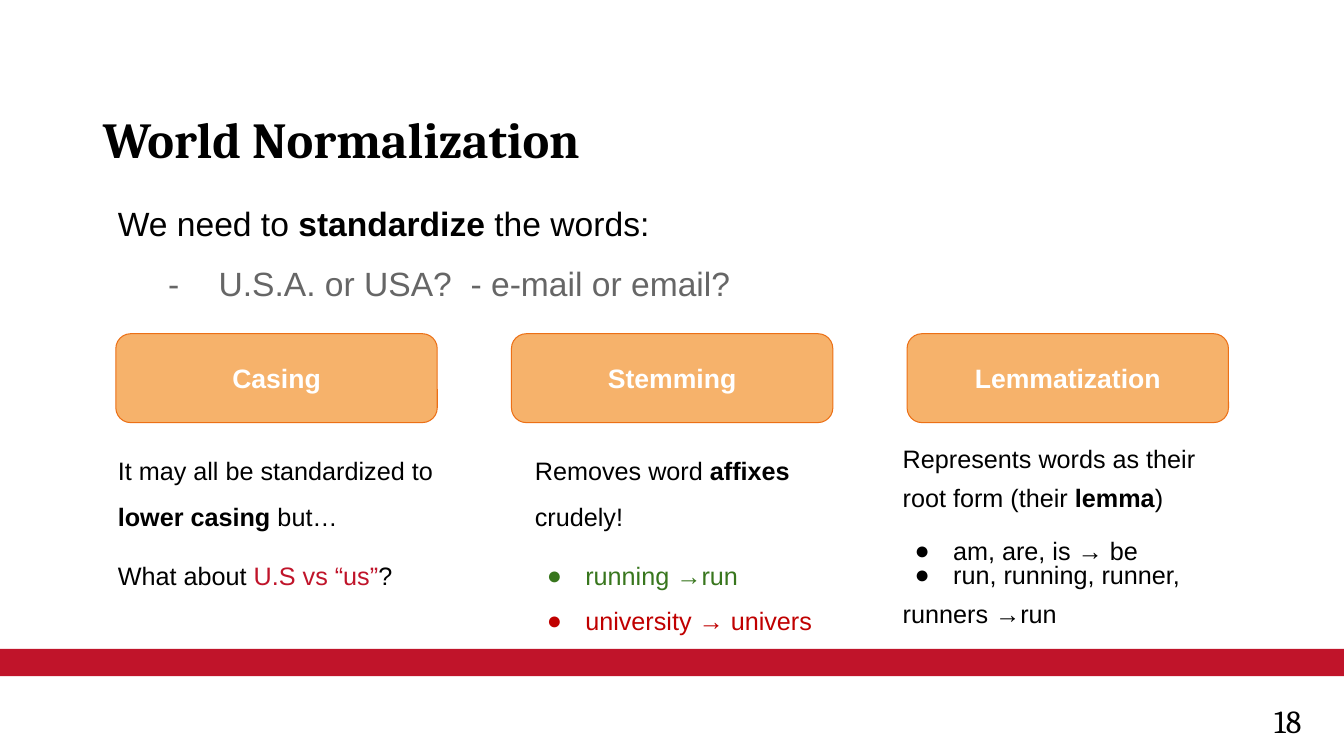
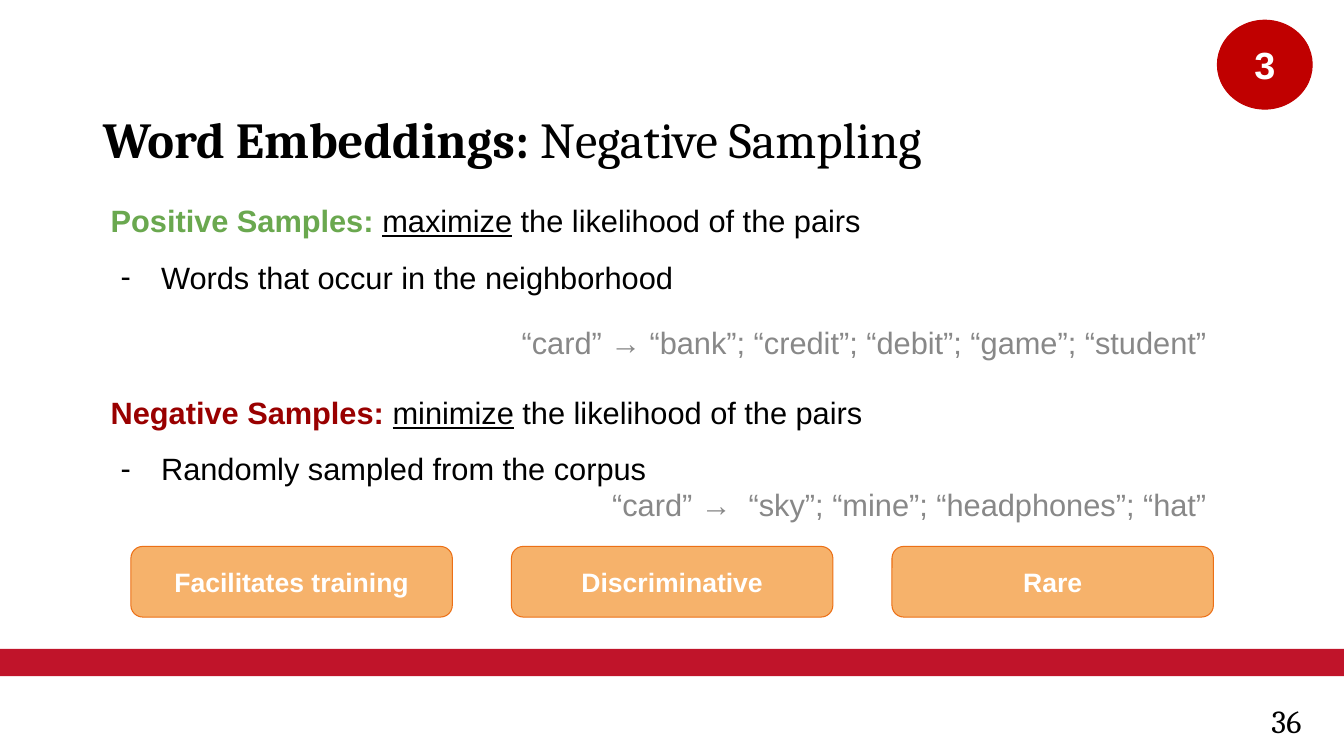
from dataclasses import dataclass

from lxml import etree
from pptx import Presentation
from pptx.dml.color import RGBColor
from pptx.enum.shapes import MSO_SHAPE
from pptx.enum.text import MSO_ANCHOR, MSO_AUTO_SIZE, PP_ALIGN
from pptx.oxml.ns import qn
from pptx.util import Cm, Pt

RECT, ROUNDED, OVAL = MSO_SHAPE.RECTANGLE, MSO_SHAPE.ROUNDED_RECTANGLE, MSO_SHAPE.OVAL
TOP, MIDDLE = MSO_ANCHOR.TOP, MSO_ANCHOR.MIDDLE
LEFT, CENTER, RIGHT = PP_ALIGN.LEFT, PP_ALIGN.CENTER, PP_ALIGN.RIGHT
NO_FIT = MSO_AUTO_SIZE.NONE

BLACK = RGBColor(0x00, 0x00, 0x00)
WHITE = RGBColor(0xFF, 0xFF, 0xFF)
CRIMSON = RGBColor(0xC0, 0x14, 0x2A)
RED = RGBColor(0xC0, 0x00, 0x00)
DARK_RED = RGBColor(0x99, 0x00, 0x00)
GREEN = RGBColor(0x6A, 0xA8, 0x4F)
DARK_GREEN = RGBColor(0x38, 0x76, 0x1D)
DARK_GRAY = RGBColor(0x66, 0x66, 0x66)
GRAY = RGBColor(0x88, 0x88, 0x88)
ORANGE = RGBColor(0xF6, 0xB2, 0x6B)
ORANGE_LINE = RGBColor(0xEC, 0x70, 0x16)

HEAD_FONT, BODY_FONT = "Cambria", "Arial"
SLIDE_W, SLIDE_H = 33.87, 19.05
COMPARISON, TWO_CONTENT = 4, 3


@dataclass
class Run:
    text: str
    color: RGBColor = BLACK
    bold: bool = False
    underline: bool = False


@dataclass
class Para:
    runs: list
    spacing: float = 1.0
    before: float = 0
    align: PP_ALIGN = LEFT
    margin: float = 0
    indent: float = 0
    bullet: str = ""
    tabs: tuple = ()


def set_list_format(p, para):
    pPr = p._p.get_or_add_pPr()
    pPr.set("marL", str(Cm(para.margin)))
    pPr.set("indent", str(Cm(para.indent)))
    if para.bullet:
        clr = etree.SubElement(pPr, qn("a:buClr"))
        etree.SubElement(clr, qn("a:srgbClr"), val=str(para.runs[0].color))
        etree.SubElement(pPr, qn("a:buFont"), typeface=BODY_FONT)
        etree.SubElement(pPr, qn("a:buChar"), char=para.bullet)
    else:
        etree.SubElement(pPr, qn("a:buNone"))
    if para.tabs:
        tab_list = etree.SubElement(pPr, qn("a:tabLst"))
        for pos in para.tabs:
            etree.SubElement(tab_list, qn("a:tab"), pos=str(Cm(pos)), algn="l")


def write(sp, paras, size, font=BODY_FONT, anchor=TOP, inset=0.25):
    tf = sp.text_frame
    tf.word_wrap = True
    tf.auto_size = NO_FIT
    tf.vertical_anchor = anchor
    tf.margin_left = tf.margin_right = Cm(0.25)
    tf.margin_top = tf.margin_bottom = Cm(inset)
    for i, para in enumerate(paras):
        p = tf.add_paragraph() if i else tf.paragraphs[0]
        set_list_format(p, para)
        p.alignment = para.align
        p.line_spacing = para.spacing
        p.space_before = Pt(para.before)
        p.space_after = Pt(0)
        for run in para.runs:
            r = p.add_run()
            r.text = run.text
            r.font.name = font
            r.font.size = Pt(size)
            r.font.bold = run.bold
            r.font.color.rgb = run.color
            if run.underline:
                r.font.underline = True


def place(sp, left, top, width, height):
    sp.left, sp.top = Cm(left), Cm(top)
    sp.width, sp.height = Cm(width), Cm(height)


def add_text(s, box, paras, size, **style):
    sp = s.shapes.add_textbox(*map(Cm, box))
    write(sp, paras, size, **style)


def add_block(s, kind, box, fill, line):
    sp = s.shapes.add_shape(kind, *map(Cm, box))
    sp.shadow.inherit = False
    sp.fill.solid()
    sp.fill.fore_color.rgb = fill
    sp.line.color.rgb = line
    sp.line.width = Pt(0.75)
    return sp


def add_label(s, kind, box, fill, line, text, size):
    sp = add_block(s, kind, box, fill, line)
    write(sp, [Para([Run(text, WHITE, True)], align=CENTER)], size, anchor=MIDDLE)


def add_master_band(prs, s):
    band = add_block(s, RECT, (0, 16.35, SLIDE_W, 0.69), CRIMSON, CRIMSON)
    band.line.fill.background()
    band.element.nvSpPr.cNvPr.set("id", "100")
    prs.slide_master.element.cSld.spTree.append(band.element)


def add_base(prs, layout, title_runs, number):
    s = prs.slides.add_slide(prs.slide_layouts[layout])
    place(s.shapes.title, 2.34, 2.46, 29.21, 2.24)
    write(s.shapes.title, [Para(title_runs, 0.9)], 36, HEAD_FONT, MIDDLE, 0.13)
    add_text(s, (30.99, 17.65, 2.06, 1.02), [Para([Run(number)], 0.9, align=RIGHT)],
             23, font=HEAD_FONT, inset=0.13)
    return s


def add_pill_row(s, box, labels):
    left, top, width, height = box
    pill_w = 8.1
    step = (width - pill_w) / (len(labels) - 1)
    for i, label in enumerate(labels):
        add_label(s, ROUNDED, (left + i * step, top, pill_w, height),
                  ORANGE, ORANGE_LINE, label, 19)


def fill_sample_block(s, body, box, heading, verb, source, example):
    left, top, width, height = box
    place(body, left, top, width, 1.85)
    write(body, [
        Para([heading, Run(verb, underline=True), Run(" the likelihood of the pairs")], 1.15),
        Para([Run(source)], 1.15, 10, margin=1.27, indent=-1.02, bullet="-"),
    ], 22)
    note_w, note_h = 23.09, 1.45
    add_text(s, (left + width - note_w - 0.68, top + height - note_h, note_w, note_h),
             [Para([Run(example, GRAY)], 1.15, align=RIGHT)], 22)


def bullet_item(text, spacing, before=0, color=BLACK):
    return Para([Run(text, color)], spacing, before, margin=1.27, indent=-0.97, bullet="●")


def build_normalization(prs):
    s = add_base(prs, COMPARISON, [Run("World Normalization", bold=True)], "18")
    add_master_band(prs, s)
    intro, *columns = [s.placeholders[idx] for idx in (1, 2, 3, 4)]
    place(intro, 2.72, 4.7, 28.8, 3.56)
    write(intro, [
        Para([Run("We need to "), Run("standardize ", bold=True), Run("the words:")], 1.15),
        Para([Run("-\tU.S.A. or USA?\t- e-mail or email?", DARK_GRAY)], 1.15, 10,
             margin=1.27, tabs=(2.54, 15.24)),
    ], 24)
    add_pill_row(s, (2.92, 8.41, 28.04, 2.24), ["Casing", "Stemming", "Lemmatization"])

    casing = [
        Para([Run("It may all be standardized to "), Run("lower casing ", bold=True),
              Run("but…")], 1.5),
        Para([Run("What about "), Run("U.S vs “us”", CRIMSON), Run("?")], 1.5, 10),
    ]
    stemming = [
        Para([Run("Removes word "), Run("affixes ", bold=True), Run("crudely!")], 1.5),
        bullet_item("running →run", 1.5, 10, DARK_GREEN),
        bullet_item("university → univers", 1.5, color=RED),
    ]
    lemmatization = [
        Para([Run("Represents words as their root form (their "),
              Run("lemma", bold=True), Run(")")], 1.3),
        bullet_item("am, are, is → be", 1.3, 10),
        bullet_item("run, running, runner,", 0.8),
        Para([Run("runners →run")], 0.8, 10),
    ]
    boxes = [(2.72, 10.97, 8.46, 5.05), (13.23, 10.97, 8.46, 5.05), (22.5, 10.8, 9.04, 5.23)]
    for column, box, paras in zip(columns, boxes, [casing, stemming, lemmatization]):
        place(column, *box)
        write(column, paras, 18, inset=0.13)


def build_sampling(prs):
    s = add_base(prs, TWO_CONTENT,
                 [Run("Word Embeddings: ", bold=True), Run("Negative Sampling")], "36")
    add_label(s, OVAL, (30.68, 0.51, 2.39, 2.24), RED, RED, "3", 27)
    fill_sample_block(s, s.placeholders[1], (2.54, 4.7, 28.8, 4.52),
                      Run("Positive Samples: ", GREEN, True), "maximize",
                      "Words that occur in the neighborhood",
                      "“card” → “bank”; “credit”; “debit”; “game”; “student”")
    fill_sample_block(s, s.placeholders[2], (2.54, 9.53, 28.8, 3.76),
                      Run("Negative Samples: ", DARK_RED, True), "minimize",
                      "Randomly sampled from the corpus",
                      "“card” →  “sky”; “mine”; “headphones”; “hat”")
    add_pill_row(s, (3.3, 13.77, 27.28, 1.78), ["Facilitates training", "Discriminative", "Rare"])


def main():
    prs = Presentation()
    prs.slide_width, prs.slide_height = Cm(SLIDE_W), Cm(SLIDE_H)
    build_normalization(prs)
    build_sampling(prs)
    prs.save("out.pptx")


if __name__ == "__main__":
    main()
